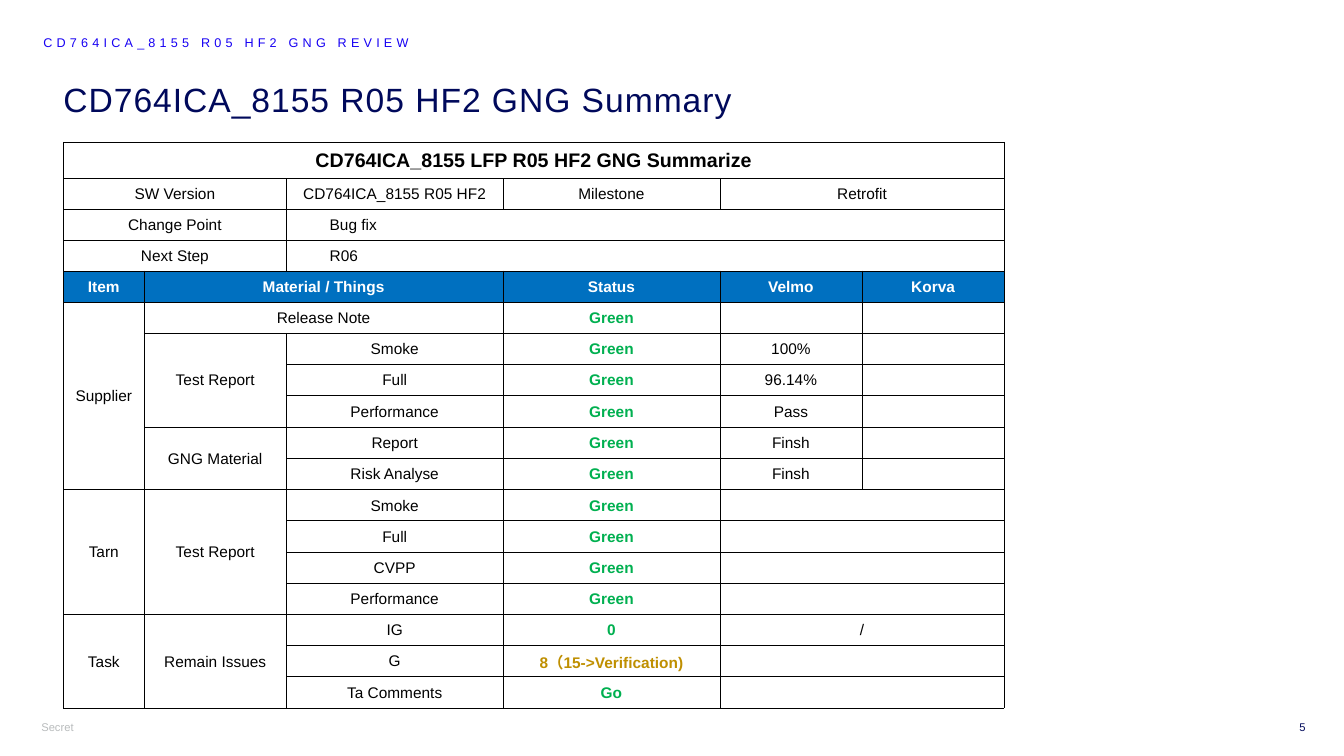
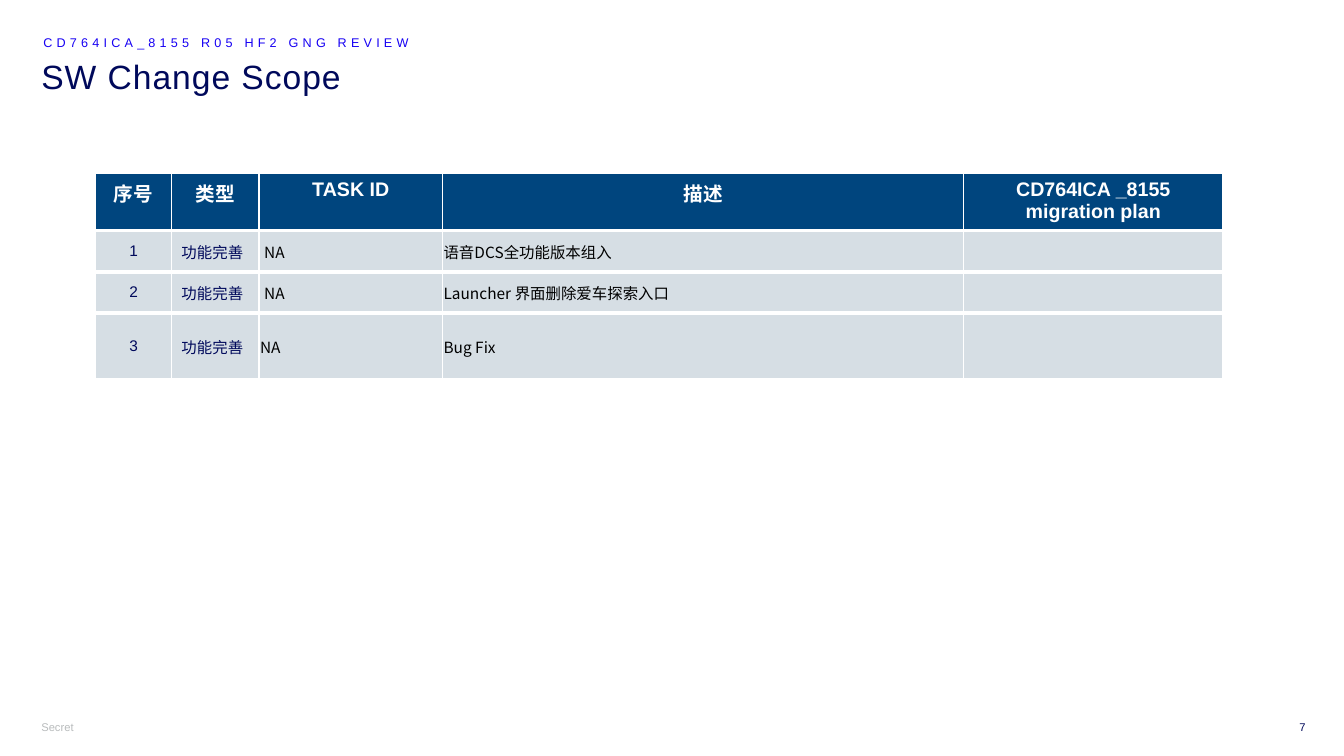
from lxml.etree import SubElement
from pptx import Presentation
from pptx.dml.color import RGBColor
from pptx.enum.text import MSO_ANCHOR as Anchor, PP_ALIGN as Align
from pptx.oxml.ns import qn
from pptx.util import Pt

EMU_PER_PX = 9144  # 100 px to the inch
LATIN, CJK = "Arial", "Noto Sans CJK SC"
NAVY, VIOLET, GREY = "00095B", "1700F3", "B9BCBD"
BLACK, WHITE, GREEN, AMBER = "000000", "FFFFFF", "00B050", "BF8F00"
BLUE, DEEP_BLUE, PALE = "0070C0", "00457E", "D6DEE4"
LEFT, ABOVE = "<", "^"  # marks of cells merged into a neighbour
TIGHT, ROOMY = (1, 1, 1, 0), (10, 5, 10, 5)


def px(length):
    return round(length * EMU_PER_PX)


def color(value):
    return RGBColor.from_string(value)


def set_margins(target, left, top, right, bottom):
    target.margin_left, target.margin_top = px(left), px(top)
    target.margin_right, target.margin_bottom = px(right), px(bottom)


def write(frame, text, size=11, ink=BLACK, bold=False, font=LATIN,
          align=Align.LEFT, line=None, tracking=None):
    paragraph = frame.paragraphs[0]
    paragraph.alignment = align
    if line:
        paragraph.line_spacing = line
    run = paragraph.add_run()
    run.text = text
    run.font.size, run.font.bold, run.font.name = Pt(size), bold, font
    run.font.color.rgb = color(ink)
    properties = run.font._element
    SubElement(properties, qn("a:ea")).set("typeface", CJK)
    if tracking:
        properties.set("spc", str(round(tracking * 100)))


def set_borders(cell, ink, left, right, top, bottom):
    properties = cell._tc.get_or_add_tcPr()
    for side, width in zip("LRTB", (left, right, top, bottom)):
        border = SubElement(properties, qn(f"a:ln{side}"), w=str(Pt(width)))
        fill = SubElement(border, qn("a:solidFill"))
        SubElement(fill, qn("a:srgbClr"), val=ink)


class Deck:
    def __init__(self):
        self.presentation = Presentation()
        self.presentation.slide_width = px(1333)
        self.presentation.slide_height = px(750)
        self.slide = None

    def text(self, left, top, width, height, text, wrap=True, **style):
        box = self.slide.shapes.add_textbox(px(left), px(top), px(width), px(height))
        frame = box.text_frame
        frame.word_wrap = wrap
        set_margins(frame, 0, 5, 0, 5)
        write(frame, text, **style)

    def page(self, title, number, left, top):
        self.slide = self.presentation.slides.add_slide(
            self.presentation.slide_layouts[6])
        self.text(41, 710, 43, 24, "Secret", wrap=False, size=8, ink=GREY)
        self.text(left, top, 1150, 75, title, size=24, ink=NAVY, line=0.9, tracking=0.7)
        self.text(43, 31, 595, 24, "CD764ICA_8155 R05 HF2 GNG REVIEW",
                  size=9, ink=VIOLET, line=0.9, tracking=3)
        self.text(1260, 710, 35, 24, str(number), size=8, ink=NAVY, align=Align.RIGHT)

    def table(self, left, top, widths, heights, rows, cell_format):
        """cell_format(row, column) gives fill, border, margins, anchor and text style."""
        frame = self.slide.shapes.add_table(len(heights), len(widths), px(left), px(top),
                                            px(sum(widths)), px(sum(heights)))
        table = frame.table
        table.first_row = table.horz_banding = False
        for column, width in zip(table.columns, widths):
            column.width = px(width)
        for row, height in zip(table.rows, heights):
            row.height = px(height)
        for r, texts in enumerate(rows):
            for c, text in enumerate(texts):
                cell = table.cell(r, c)
                fill, border, margins, anchor, style = cell_format(r, c)
                set_borders(cell, *border)
                if fill:
                    cell.fill.solid()
                    cell.fill.fore_color.rgb = color(fill)
                else:
                    cell.fill.background()
                set_margins(cell, *margins)
                cell.vertical_anchor = anchor
                if text and text not in (LEFT, ABOVE):
                    write(cell.text_frame, text, **style)
        self.merge(table, rows)

    def merge(self, table, rows):
        for r, texts in enumerate(rows):
            for c, text in enumerate(texts):
                if text in (LEFT, ABOVE):
                    continue
                last_row, last_column = r, c
                while last_column + 1 < len(texts) and texts[last_column + 1] == LEFT:
                    last_column += 1
                while last_row + 1 < len(rows) and rows[last_row + 1][c] == ABOVE:
                    last_row += 1
                if (last_row, last_column) != (r, c):
                    table.cell(r, c).merge(table.cell(last_row, last_column))


SUMMARY = [
    ["CD764ICA_8155 LFP R05 HF2 GNG Summarize", LEFT, LEFT, LEFT, LEFT, LEFT],
    ["SW Version", LEFT, "CD764ICA_8155 R05 HF2", "Milestone", "Retrofit", LEFT],
    ["Change Point", LEFT, "Bug fix", LEFT, LEFT, LEFT],
    ["Next Step", LEFT, "R06", LEFT, LEFT, LEFT],
    ["Item", "Material / Things", LEFT, "Status", "Velmo", "Korva"],
    ["Supplier", "Release Note", LEFT, "Green", "", ""],
    [ABOVE, "Test Report", "Smoke", "Green", "100%", ""],
    [ABOVE, ABOVE, "Full", "Green", "96.14%", ""],
    [ABOVE, ABOVE, "Performance", "Green", "Pass", ""],
    [ABOVE, "GNG Material", "Report", "Green", "Finsh", ""],
    [ABOVE, ABOVE, "Risk Analyse", "Green", "Finsh", ""],
    ["Tarn", "Test Report", "Smoke", "Green", "", LEFT],
    [ABOVE, ABOVE, "Full", "Green", "", LEFT],
    [ABOVE, ABOVE, "CVPP", "Green", "", LEFT],
    [ABOVE, ABOVE, "Performance", "Green", "", LEFT],
    ["Task", "Remain Issues", "IG", "0", "/", LEFT],
    [ABOVE, ABOVE, "G", "8（15->Verification)", "", LEFT],
    [ABOVE, ABOVE, "Ta Comments", "Go", "", LEFT],
]
CHANGES = [
    ["序号", "类型", "TASK ID", "描述", "CD764ICA _8155 migration plan"],
    ["1", "功能完善", "NA", "语音DCS全功能版本组入", ""],
    ["2", "功能完善", "NA", "Launcher 界面删除爱车探索入口", ""],
    ["3", "功能完善", "NA", "Bug Fix", ""],
]


def summary_format(row, column):
    style, fill, margins = {"align": Align.CENTER}, None, TIGHT
    if row == 0:
        style.update(size=14, bold=True)
    elif row in (2, 3) and column == 2:
        style["align"] = Align.LEFT
        margins = (43, 1, 1, 0)
    elif row == 4:
        fill = BLUE
        style.update(ink=WHITE, bold=True)
    elif row > 4 and column == 3:
        style.update(ink=AMBER if row == 16 else GREEN, bold=True)
    return fill, (BLACK, 0.5, 0.5, 0.5, 0.5), margins, Anchor.MIDDLE, style


def change_format(row, column):
    if row == 0:
        style = {"size": 14, "ink": WHITE, "bold": True, "align": Align.CENTER}
        return DEEP_BLUE, (WHITE, 1, 1, 1, 3), ROOMY, Anchor.TOP, style
    margins = ROOMY
    style = {"ink": NAVY, "align": Align.LEFT if column else Align.CENTER}
    if column in (2, 3):
        indented = column == 2 and row < 3
        margins = (5, 1, 1, 0) if indented else TIGHT
        style.update(ink=BLACK, font=CJK)
    return PALE, (WHITE, 1, 1, 3, 3), margins, Anchor.MIDDLE, style


def main():
    deck = Deck()

    # Release summary
    deck.page("CD764ICA_8155 R05 HF2 GNG Summary", 5, 63, 78)
    title_height, table_height = 36, 557
    other_rows = len(SUMMARY) - 1
    row_height = (table_height - title_height) / other_rows
    deck.table(63, 141, [80, 141, 215, 215, 141, 141],
               [title_height] + [row_height] * other_rows, SUMMARY, summary_format)

    # Change scope
    deck.page("SW Change Scope", 7, 41, 55)
    deck.table(95, 172, [75, 87, 182, 517, 257], [54, 41, 41, 66],
               CHANGES, change_format)

    deck.presentation.save("out.pptx")


if __name__ == "__main__":
    main()
